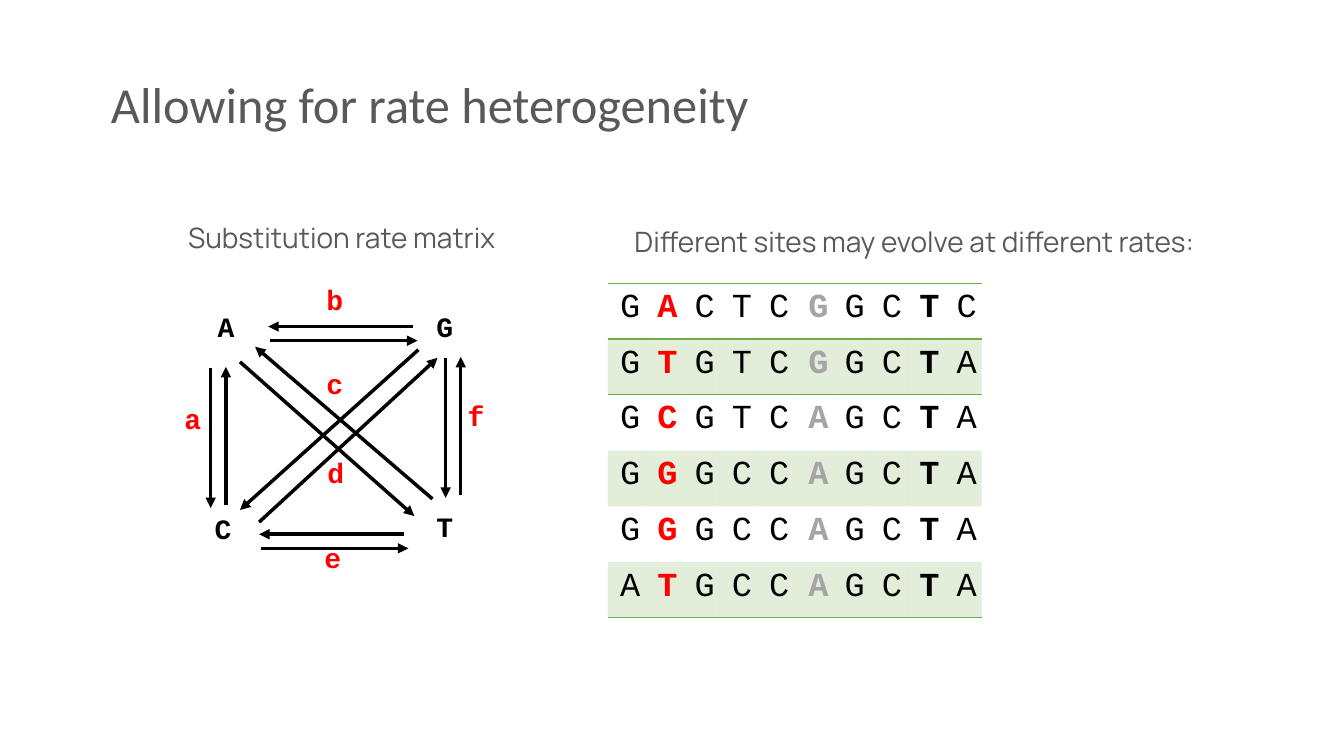
from lxml import etree
from pptx import Presentation
from pptx.dml.color import RGBColor
from pptx.enum.shapes import MSO_CONNECTOR
from pptx.enum.text import MSO_ANCHOR, MSO_AUTO_SIZE, PP_ALIGN
from pptx.oxml.ns import qn
from pptx.util import Inches, Pt

STRAIGHT = MSO_CONNECTOR.STRAIGHT
LEFT, CENTER = PP_ALIGN.LEFT, PP_ALIGN.CENTER
BOTTOM = MSO_ANCHOR.BOTTOM
NO_FIT, GROW = MSO_AUTO_SIZE.NONE, MSO_AUTO_SIZE.SHAPE_TO_FIT_TEXT

COLORS = {"text": "595959", "base": "000000", "rate": "FF0000",
          "slow": "A5A5A5", "green": "70AD47"}
CODE_FONT = "Courier New"
PLAIN_TABLE_STYLE = "{2D5ABB26-0587-4C30-8999-92F81FD0307C}"

SEQUENCES = ["GACTCGGCTC", "GTGTCGGCTA", "GCGTCAGCTA",
             "GGGCCAGCTA", "GGGCCAGCTA", "ATGCCAGCTA"]
SITE_COLORS = {1: "rate", 5: "slow", 8: "base"}  # highlighted sites, set in bold

# Offsets from the top left corner of the rate diagram
BASES = {"A": (0.33, 0.27), "G": (2.5, 0.27), "C": (0.3, 2.28), "T": (2.5, 2.26)}
RATES = {"a": (0, 1.18), "b": (1.41, 0), "c": (1.41, 0.84),
         "d": (1.42, 1.72), "e": (1.39, 2.56), "f": (2.81, 1.15)}
HORIZONTAL_PAIRS = [(0.93, 0.49), (0.84, 2.55)]
VERTICAL_PAIRS = [(0.36, 0.9), (2.69, 0.8)]
DIAGONALS = [(0.65, 0.84, 2.38, 2.37), (0.84, 2.43, 2.61, 0.8),
             (2.42, 0.72, 0.65, 2.31), (2.56, 2.2, 0.8, 0.69)]


def style(para, font, size, color, bold=False, align=LEFT):
    para.alignment = align
    para.font.name = font
    para.font.size = Pt(size)
    para.font.bold = bold
    para.font.color.rgb = RGBColor.from_string(COLORS[color])


def add_text(shapes, box, text, font, color, bold=False, align=LEFT):
    frame = shapes.add_textbox(*map(Inches, box)).text_frame
    frame.word_wrap = True
    frame.auto_size = GROW
    frame.text = text
    style(frame.paragraphs[0], font, 20, color, bold, align)


def add_arrow(shapes, x1, y1, x2, y2):
    arrow = shapes.add_connector(STRAIGHT, *map(Inches, (x1, y1, x2, y2)))
    arrow.line.color.rgb = RGBColor.from_string(COLORS["base"])
    arrow.line.width = Pt(2.5)
    etree.SubElement(arrow.line._get_or_add_ln(), qn("a:tailEnd"), type="triangle")
    etree.SubElement(arrow._element.spPr, qn("a:effectLst"))


def add_title(page, box, text):
    title = page.shapes.title
    title.left, title.top, title.width, title.height = map(Inches, box)
    frame = title.text_frame
    frame.text = text
    frame.vertical_anchor = BOTTOM
    frame.auto_size = NO_FIT
    para = frame.paragraphs[0]
    para.line_spacing = 0.9
    style(para, "Calibri", 36, "text")


def add_rate_diagram(page, left, top):
    shapes = page.shapes.add_group_shape().shapes

    # Base and rate letters
    for letters, color in ((BASES, "base"), (RATES, "rate")):
        for letter, (x, y) in letters.items():
            add_text(shapes, (left + x, top + y, 0.46, 0.51), letter,
                     CODE_FONT, color, bold=True)

    # Arrows in both directions between every two bases
    arrows = list(DIAGONALS)
    for x, y in HORIZONTAL_PAIRS:
        arrows += [(x + 1.44, y, x, y), (x + 0.02, y + 0.14, x + 1.48, y + 0.14)]
    for x, y in VERTICAL_PAIRS:
        arrows += [(x, y, x, y + 1.39), (x + 0.15, y + 1.36, x + 0.15, y - 0.01)]
    for x1, y1, x2, y2 in arrows:
        add_arrow(shapes, left + x1, top + y1, left + x2, top + y2)


def add_solid(parent, alpha=None):
    fill = etree.SubElement(parent, qn("a:solidFill"))
    color = etree.SubElement(fill, qn("a:srgbClr"), val=COLORS["green"])
    if alpha:
        etree.SubElement(color, qn("a:alpha"), val=str(alpha * 1000))


def format_cell(cell, edges, shaded):
    cell.margin_left = cell.margin_right = Inches(0.12)
    cell.margin_top = cell.margin_bottom = Inches(0.06)
    props = cell._tc.get_or_add_tcPr()
    for edge in edges:
        add_solid(etree.SubElement(props, qn("a:" + edge), w=str(Pt(1))))
    if shaded:
        add_solid(props, alpha=20)
    else:
        cell.fill.background()


def add_alignment(page, box):
    rows, sites = len(SEQUENCES), len(SEQUENCES[0])
    left, top, width, height = map(Inches, box)
    table = page.shapes.add_table(rows, sites, left, top, width, height).table
    table.first_row = table.horz_banding = False
    table._tbl.tblPr.find(qn("a:tableStyleId")).text = PLAIN_TABLE_STYLE
    for site, column in enumerate(table.columns):
        column.width = Inches({4: 0.39, 5: 0.36}.get(site, 0.37))

    for row, sequence in enumerate(SEQUENCES):
        edges = {0: ["lnT", "lnB"], 1: ["lnT"], rows - 1: ["lnB"]}.get(row, [])
        for site, base in enumerate(sequence):
            cell = table.cell(row, site)
            cell.text = base
            format_cell(cell, edges, shaded=row % 2 == 1)
            style(cell.text_frame.paragraphs[0], CODE_FONT, 24,
                  SITE_COLORS.get(site, "base"), bold=site in SITE_COLORS)


def main():
    deck = Presentation()
    deck.slide_width, deck.slide_height = Inches(13.33), Inches(7.5)
    page = deck.slides.add_slide(deck.slide_layouts[5])
    add_title(page, (1, 0.43, 11.41, 0.95), "Allowing for rate heterogeneity")

    # Left: substitution rates
    add_text(page.shapes, (1.59, 2.14, 3.6, 0.44), "Substitution rate matrix",
             "Manrope", "text", align=CENTER)
    add_rate_diagram(page, 1.73, 2.75)

    # Right: aligned sequences
    add_text(page.shapes, (5.81, 2.18, 6.52, 0.44),
             "Different sites may evolve at different rates:",
             "Manrope", "text", align=CENTER)
    add_alignment(page, (6.03, 2.81, 3.72, 3.32))
    deck.save("out.pptx")


if __name__ == "__main__":
    main()
